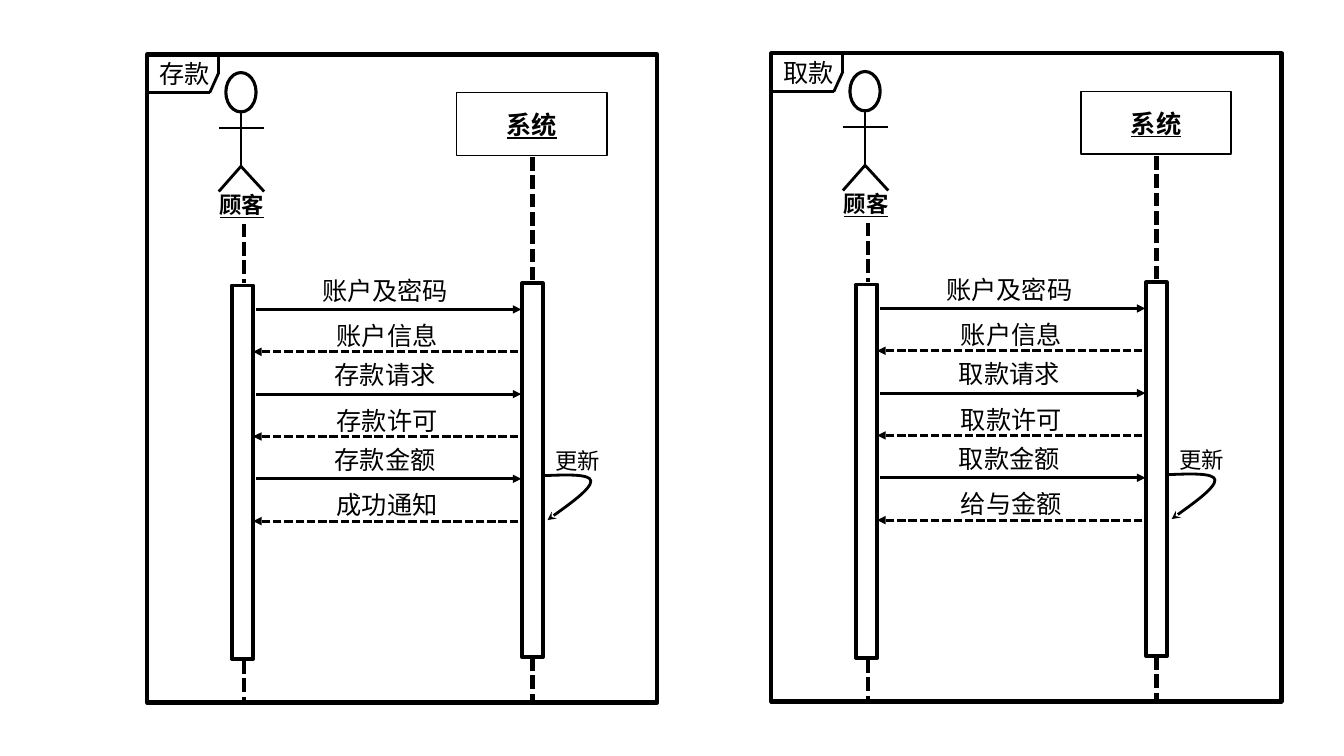
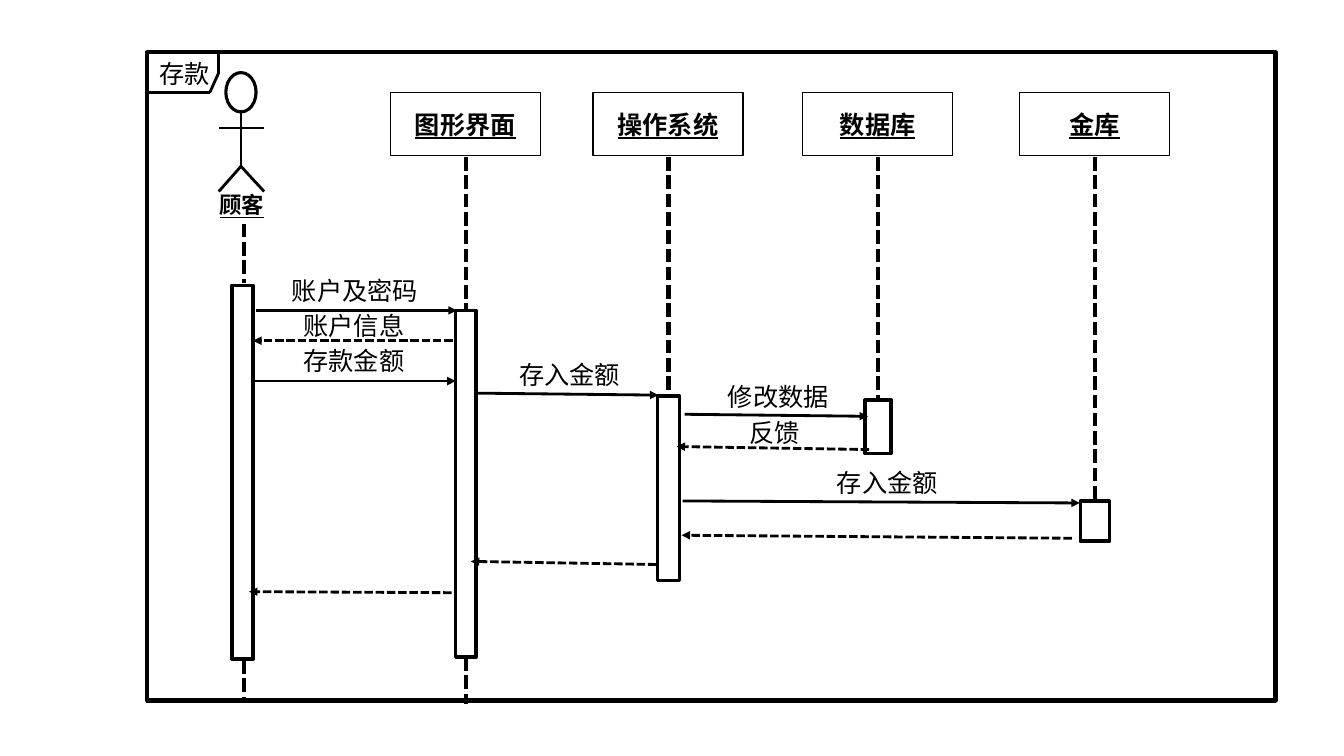
from dataclasses import dataclass
from itertools import pairwise
from typing import Any, NamedTuple

from lxml import etree
from pptx import Presentation
from pptx.dml.color import RGBColor
from pptx.enum.dml import MSO_LINE
from pptx.enum.shapes import MSO_CONNECTOR, MSO_SHAPE
from pptx.enum.text import MSO_ANCHOR, MSO_AUTO_SIZE, PP_ALIGN
from pptx.oxml.ns import qn
from pptx.util import Inches, Pt

RECTANGLE = MSO_SHAPE.RECTANGLE
OVAL = MSO_SHAPE.OVAL
STRAIGHT = MSO_CONNECTOR.STRAIGHT
DASH = MSO_LINE.SQUARE_DOT
LEFT = PP_ALIGN.LEFT
CENTER = PP_ALIGN.CENTER
MIDDLE = MSO_ANCHOR.MIDDLE
FIT_TEXT = MSO_AUTO_SIZE.SHAPE_TO_FIT_TEXT
BLANK_LAYOUT = 6


@dataclass(frozen=True)
class Theme:
    ink: RGBColor = RGBColor(0, 0, 0)
    paper: RGBColor = RGBColor(255, 255, 255)
    font: str = "Noto Sans CJK SC"
    label_size: float = 18
    small_size: float = 16
    frame_line: float = 3
    lifeline: float = 3.25
    bar_line: float = 2.5
    head_line: float = 2.25
    thin_line: float = 2
    header_line: float = 1


THEME = Theme()


class Point(NamedTuple):
    x: float
    y: float


class Message(NamedTuple):
    text: str
    start: Point
    end: Point
    label_x: float = 0
    label_top: float = 0
    reply: bool = False


class Participant(NamedTuple):
    name: str
    x: float
    bar_top: float
    bar_bottom: float
    bar_width: float
    continues: bool = False


@dataclass(frozen=True)
class Frame:
    title: str
    top: float
    width: float
    participants: list[Participant]
    messages: list[Message]
    self_call: str = ""


@dataclass(frozen=True)
class Canvas:
    """A shape collection whose coordinates are moved by dx and dy inches."""
    shapes: Any
    dx: float = 0
    dy: float = 0

    def place(self, x: float, y: float) -> tuple[int, int]:
        return Inches(x + self.dx), Inches(y + self.dy)


def write_text(shape: Any, text: str, *, size: float = THEME.label_size,
               heading: bool = False, align: PP_ALIGN = CENTER) -> None:
    frame = shape.text_frame
    frame.word_wrap = True
    paragraph = frame.paragraphs[0]
    paragraph.alignment = align
    run = paragraph.add_run()
    run.text = text
    font = run.font
    font.size = Pt(size)
    if heading:
        font.bold = font.underline = True
    font.color.rgb = THEME.ink
    font.name = THEME.font
    east_asian = etree.SubElement(run.font._element, qn("a:ea"))
    east_asian.set("typeface", THEME.font)


def add_label(canvas: Canvas, text: str, x: float, y: float, width: float,
              height: float = 0.4, **text_format: Any) -> None:
    box = canvas.shapes.add_textbox(*canvas.place(x, y), Inches(width), Inches(height))
    box.text_frame.auto_size = FIT_TEXT
    write_text(box, text, **text_format)


def style_line(line: Any, width: float, dashed: bool = False, arrow: str = "") -> None:
    line.color.rgb = THEME.ink
    line.width = Pt(width)
    if dashed:
        line.dash_style = DASH
    if arrow:
        etree.SubElement(line._get_or_add_ln(), qn("a:tailEnd")).set("type", arrow)


def add_outline(canvas: Canvas, kind: MSO_SHAPE, x: float, y: float, width: float,
                height: float, line_width: float) -> Any:
    shape = canvas.shapes.add_shape(
        kind, *canvas.place(x, y), Inches(width), Inches(height))
    shape.shadow.inherit = False
    shape.fill.background()
    style_line(shape.line, line_width)
    return shape


def add_line(canvas: Canvas, start: Point, end: Point, width: float = THEME.thin_line,
             dashed: bool = False, arrow: str = "") -> None:
    line = canvas.shapes.add_connector(
        STRAIGHT, *canvas.place(*start), *canvas.place(*end))
    etree.SubElement(line._element.spPr, qn("a:effectLst"))
    style_line(line.line, width, dashed, arrow)


def add_lifeline(canvas: Canvas, x: float, top: float, bottom: float) -> None:
    add_line(canvas, Point(x, top), Point(x, bottom), THEME.lifeline, dashed=True)


def add_customer(canvas: Canvas) -> None:
    group = canvas.shapes.add_group_shape()
    figure = Canvas(group.shapes, canvas.dx, canvas.dy)
    neck, hip = Point(2.39, 1.11), Point(2.39, 1.65)
    add_outline(figure, OVAL, 2.24, 0.72, 0.3, 0.39, THEME.head_line)
    limbs = [(Point(2.17, 1.27), Point(2.62, 1.27)), (neck, hip),
             (Point(2.17, 1.9), hip), (Point(2.62, 1.9), hip)]
    for start, end in limbs:
        add_line(figure, start, end)
    add_label(figure, "顾客", 2.08, 1.85, 0.68, 0.37,
              size=THEME.small_size, heading=True, align=LEFT)
    add_lifeline(canvas, 2.42, 2.22, 2.81)
    add_outline(canvas, RECTANGLE, 2.3, 2.83, 0.21, 3.71, THEME.bar_line)
    add_lifeline(canvas, 2.42, 6.55, 6.95)


def add_participant(canvas: Canvas, person: Participant) -> None:
    header = add_outline(canvas, RECTANGLE, person.x - 0.75, 0.92, 1.49, 0.62,
                         THEME.header_line)
    header.fill.solid()
    header.fill.fore_color.rgb = THEME.paper
    header.text_frame.vertical_anchor = MIDDLE
    write_text(header, person.name, heading=True)
    add_lifeline(canvas, person.x, 1.56, person.bar_top)
    add_outline(canvas, RECTANGLE, person.x - person.bar_width / 2, person.bar_top,
                person.bar_width, person.bar_bottom - person.bar_top, THEME.bar_line)
    if person.continues:
        add_lifeline(canvas, person.x, person.bar_bottom, 6.98)


def add_message(canvas: Canvas, message: Message) -> None:
    add_line(canvas, message.start, message.end, dashed=message.reply, arrow="triangle")
    if message.text:
        width = 2.02
        add_label(canvas, message.text, message.label_x - width / 2,
                  message.label_top, width)


def add_self_call(canvas: Canvas, text: str) -> None:
    """Draw a curved arrow; each three line points become one Bezier segment."""
    controls = [Point(5.61, 4.71), Point(5.85, 4.7), Point(5.86, 4.77),
                Point(5.87, 4.85), Point(5.51, 5.1), Point(5.43, 5.16)]
    builder = canvas.shapes.build_freeform(*canvas.place(5.38, 4.72))
    builder.add_line_segments([canvas.place(*point) for point in controls], close=False)
    curve = builder.convert_to_shape()
    for position, segment in enumerate(list(curve._element.iter(qn("a:lnTo")))):
        outline = segment.getparent()
        if position % 3 == 0:
            bezier = etree.SubElement(outline, qn("a:cubicBezTo"))
        bezier.append(segment[0])
        outline.remove(segment)
    curve.shadow.inherit = False
    curve.fill.background()
    style_line(curve.line, THEME.thin_line, arrow="stealth")
    add_label(canvas, text, 5.41, 4.39, 0.67, 0.37, size=THEME.small_size, align=LEFT)


def add_frame(canvas: Canvas, frame: Frame) -> None:
    add_customer(canvas)
    add_outline(canvas, RECTANGLE, 1.46, frame.top, frame.width, 6.43, THEME.frame_line)
    for person in frame.participants:
        add_participant(canvas, person)
    for message in frame.messages:
        add_message(canvas, message)
    if frame.self_call:
        add_self_call(canvas, frame.self_call)
    tab_edge = [Point(1.46, 0.92), Point(2.08, 0.92), Point(2.17, 0.72), Point(2.17, 0.54)]
    for start, end in pairwise(tab_edge):
        add_line(canvas, start, end)
    add_label(canvas, frame.title, 1.48, 0.53, 0.78, align=LEFT)


def system_frame(title: str, texts: list[str]) -> Frame:
    """Alternate requests and replies between the customer and the system."""
    messages = []
    for index, text in enumerate(texts):
        y = 3.07 + 0.42 * index
        if index % 2:
            messages.append(Message(text, Point(5.14, y), Point(2.51, y),
                                    3.84, y - 0.36, reply=True))
        else:
            messages.append(Message(text, Point(2.54, y), Point(5.17, y),
                                    3.82, y - 0.39))
    system = Participant("系统", 5.28, 2.81, 6.52, 0.21, continues=True)
    return Frame(title, 0.54, 5.06, [system], messages, "更新")


DEPOSIT = system_frame(
    "存款", ["账户及密码", "账户信息", "存款请求", "存款许可", "存款金额", "成功通知"])
WITHDRAWAL = system_frame(
    "取款", ["账户及密码", "账户信息", "取款请求", "取款许可", "取款金额", "给与金额"])
DETAILED_DEPOSIT = Frame(
    "存款", 0.52, 11.19,
    [
        Participant("图形界面", 4.62, 3.08, 6.52, 0.2, continues=True),
        Participant("操作系统", 6.63, 3.93, 5.76, 0.22),
        Participant("数据库", 8.71, 3.97, 4.5, 0.26),
        Participant("金库", 10.86, 4.97, 5.37, 0.29),
    ],
    [
        Message("账户及密码", Point(2.54, 3.08), Point(4.53, 3.08), 3.52, 2.68),
        Message("账户信息", Point(4.49, 3.38), Point(2.51, 3.38), 3.51, 3.03, True),
        Message("存款金额", Point(2.53, 3.78), Point(4.52, 3.78), 3.51, 3.38),
        Message("存入金额", Point(4.71, 3.9), Point(6.53, 3.92), 5.65, 3.52),
        Message("修改数据", Point(6.79, 4.11), Point(8.61, 4.13), 7.72, 3.73),
        Message("反馈", Point(8.62, 4.46), Point(6.71, 4.43), 7.68, 4.09, True),
        Message("存入金额", Point(6.77, 4.97), Point(10.71, 4.99), 8.8, 4.59),
        Message("", Point(10.63, 5.34), Point(6.76, 5.31), reply=True),
        Message("", Point(6.51, 5.6), Point(4.67, 5.57), reply=True),
        Message("", Point(4.48, 5.88), Point(2.47, 5.87), reply=True),
    ],
)


def main() -> None:
    presentation = Presentation()
    presentation.slide_width = Inches(13.33)
    presentation.slide_height = Inches(7.5)
    blank = presentation.slide_layouts[BLANK_LAYOUT]
    overview = presentation.slides.add_slide(blank).shapes
    add_frame(Canvas(overview), DEPOSIT)
    add_frame(Canvas(overview, dx=6.19, dy=-0.01), WITHDRAWAL)
    detail = presentation.slides.add_slide(blank).shapes
    add_frame(Canvas(detail), DETAILED_DEPOSIT)
    presentation.save("out.pptx")


if __name__ == "__main__":
    main()
